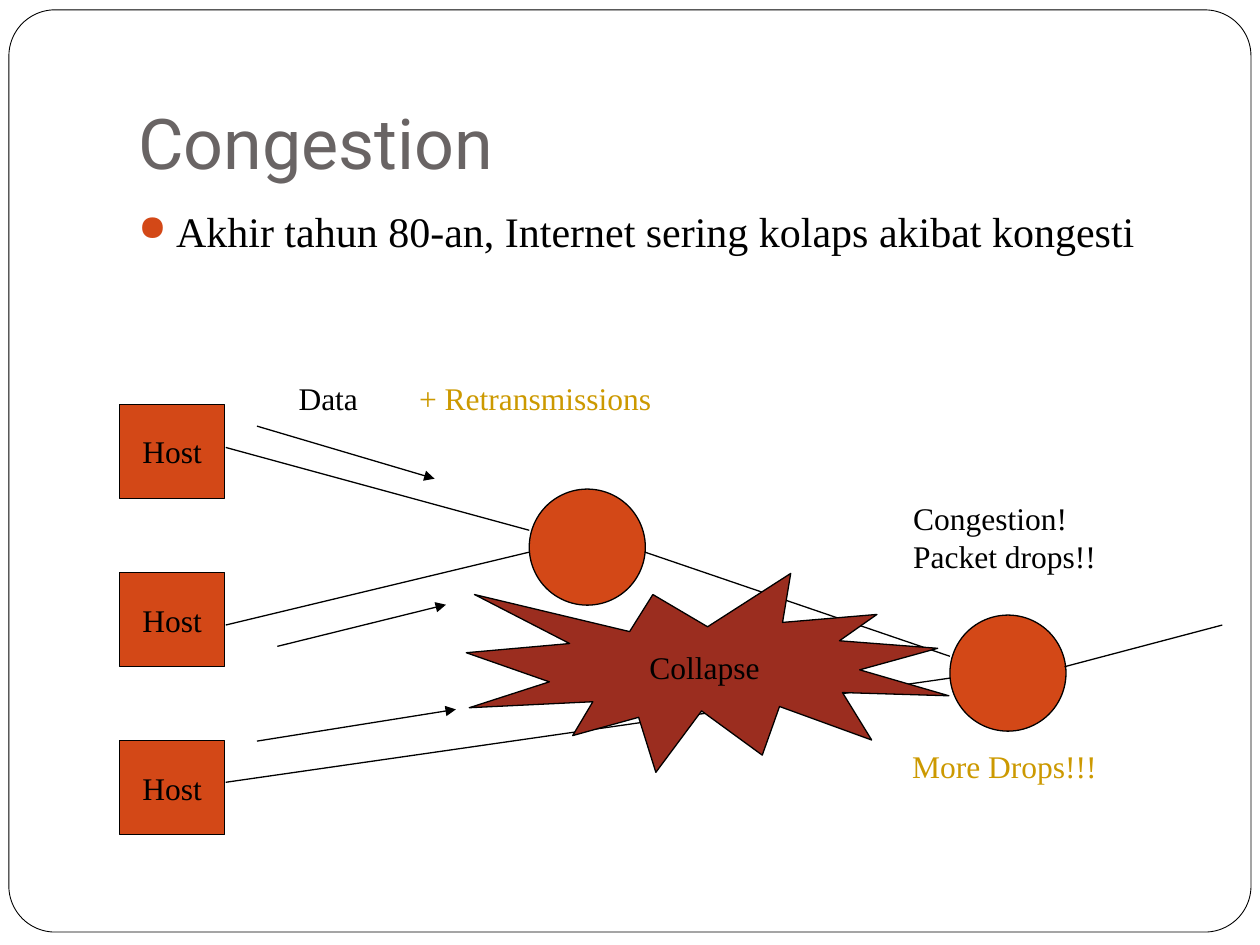
from lxml import etree
from pptx import Presentation
from pptx.dml.color import RGBColor
from pptx.enum.shapes import MSO_CONNECTOR, MSO_SHAPE
from pptx.enum.text import MSO_ANCHOR, MSO_AUTO_SIZE, PP_ALIGN
from pptx.oxml.ns import qn
from pptx.util import Cm, Pt

LINE = MSO_CONNECTOR.STRAIGHT
RECT, CIRCLE = MSO_SHAPE.RECTANGLE, MSO_SHAPE.OVAL
FRAME, BURST = MSO_SHAPE.ROUNDED_RECTANGLE, MSO_SHAPE.EXPLOSION1
MIDDLE, BOTTOM = MSO_ANCHOR.MIDDLE, MSO_ANCHOR.BOTTOM
CENTER, LEFT = PP_ALIGN.CENTER, PP_ALIGN.LEFT
FIT, FIXED = MSO_AUTO_SIZE.SHAPE_TO_FIT_TEXT, MSO_AUTO_SIZE.NONE

COLORS = {
    "white": "FFFFFF", "black": "000000", "grey": "696464",
    "orange": "D34817", "red": "9B2D1F", "gold": "CC9900",
}
SERIF, SANS = "Times New Roman", "Roboto"

TITLE = "Congestion"
BULLET = "Akhir tahun 80-an, Internet sering kolaps akibat kongesti"
HOSTS = ["Host", "Host", "Host"]
HOST_LEFT, HOST_TOP, HOST_PITCH = 2.41, 8.15, 3.39
HOST_W, HOST_H = 2.12, 1.9
ROUTERS = [(10.67, 9.86), (19.15, 12.4)]
ROUTER_SIZE = 2.34
LINKS = [
    (4.55, 9.02, 10.67, 10.69),
    (4.55, 12.6, 10.67, 11.13),
    (4.55, 15.77, 19.15, 13.67),
    (13, 11.13, 19.15, 13.23),
    (21.46, 13.44, 24.64, 12.6),
]
FLOWS = [
    (5.18, 8.59, 8.76, 9.65),
    (5.59, 13.03, 8.99, 12.19),
    (5.18, 14.94, 9.19, 14.3),
]
LABELS = [
    (["Congestion!", "Packet drops!!"], "black", (18.16, 9.93, 4.8, 1.78)),
    (["Data"], "black", (5.77, 7.52, 1.9, 1.02)),
    (["+ Retransmissions"], "gold", (8.2, 7.52, 5.99, 1.02)),
    (["More Drops!!!"], "gold", (18.14, 14.94, 4.7, 1.02)),
]


def rgb(name):
    return RGBColor.from_string(COLORS[name])


def write(tf, lines, color="black", size=18, font=SERIF, align=LEFT):
    for i, line in enumerate(lines):
        p = tf.paragraphs[0] if i == 0 else tf.add_paragraph()
        p.alignment = align
        r = p.add_run()
        r.text = line
        r.font.size, r.font.name = Pt(size), font
        r.font.color.rgb = rgb(color)


def add_box(s, kind, box, fill, text=None, width=0.75):
    sp = s.shapes.add_shape(kind, *map(Cm, box))
    sp.shadow.inherit = False
    sp.fill.solid()
    sp.fill.fore_color.rgb = rgb(fill)
    sp.line.color.rgb = rgb("black")
    sp.line.width = Pt(width)
    if text:
        sp.text_frame.word_wrap = False
        sp.text_frame.vertical_anchor = MIDDLE
        write(sp.text_frame, [text], align=CENTER)
    return sp


def add_text(s, box, lines, wrap=True, **style):
    tf = s.shapes.add_textbox(*map(Cm, box)).text_frame
    tf.word_wrap = wrap
    tf.auto_size = FIXED if wrap else FIT
    write(tf, lines, **style)
    return tf


def add_line(s, ends, arrow=False):
    c = s.shapes.add_connector(LINE, *map(Cm, ends))
    c.line.color.rgb = rgb("black")
    c.line.width = Pt(0.75)
    if arrow:
        ln = c.line._get_or_add_ln()
        etree.SubElement(ln, qn("a:tailEnd"), type="triangle")
    etree.SubElement(c._element.spPr, qn("a:effectLst"))


def add_bullet(p):
    pPr = p._p.get_or_add_pPr()
    pPr.set("marL", str(Cm(0.76)))
    pPr.set("indent", str(Cm(-0.76)))
    clr = etree.SubElement(pPr, qn("a:buClr"))
    etree.SubElement(clr, qn("a:srgbClr"), val=COLORS["orange"])
    etree.SubElement(pPr, qn("a:buSzPct"), val="85000")
    etree.SubElement(pPr, qn("a:buChar"), char="●")


def main():
    prs = Presentation()
    prs.slide_width, prs.slide_height = Cm(25.4), Cm(19.05)
    s = prs.slides.add_slide(prs.slide_layouts[6])

    frame = add_box(s, FRAME, (0.18, 0.2, 25.04, 18.59), "white", width=0.5)
    frame.adjustments[0] = 0.05
    tf = add_text(s, (2.54, 0.76, 21.59, 3.18), [TITLE],
                  color="grey", size=40, font=SANS)
    tf.vertical_anchor = BOTTOM
    tf.margin_bottom = Cm(0.25)
    tf = add_text(s, (2.54, 4.01, 21.59, 12.7), [BULLET], size=24)
    add_bullet(tf.paragraphs[0])

    for i, host in enumerate(HOSTS):
        top = HOST_TOP + i * HOST_PITCH
        add_box(s, RECT, (HOST_LEFT, top, HOST_W, HOST_H), "orange", host)
    for x, y in ROUTERS:
        add_box(s, CIRCLE, (x, y, ROUTER_SIZE, ROUTER_SIZE), "orange")
    for ends in LINKS:
        add_line(s, ends)
    for ends in FLOWS:
        add_line(s, ends, arrow=True)
    for lines, color, box in LABELS:
        add_text(s, box, lines, wrap=False, color=color)
    add_box(s, BURST, (9.4, 11.56, 9.73, 4.01), "red", "Collapse")

    prs.save("out.pptx")


if __name__ == "__main__":
    main()
